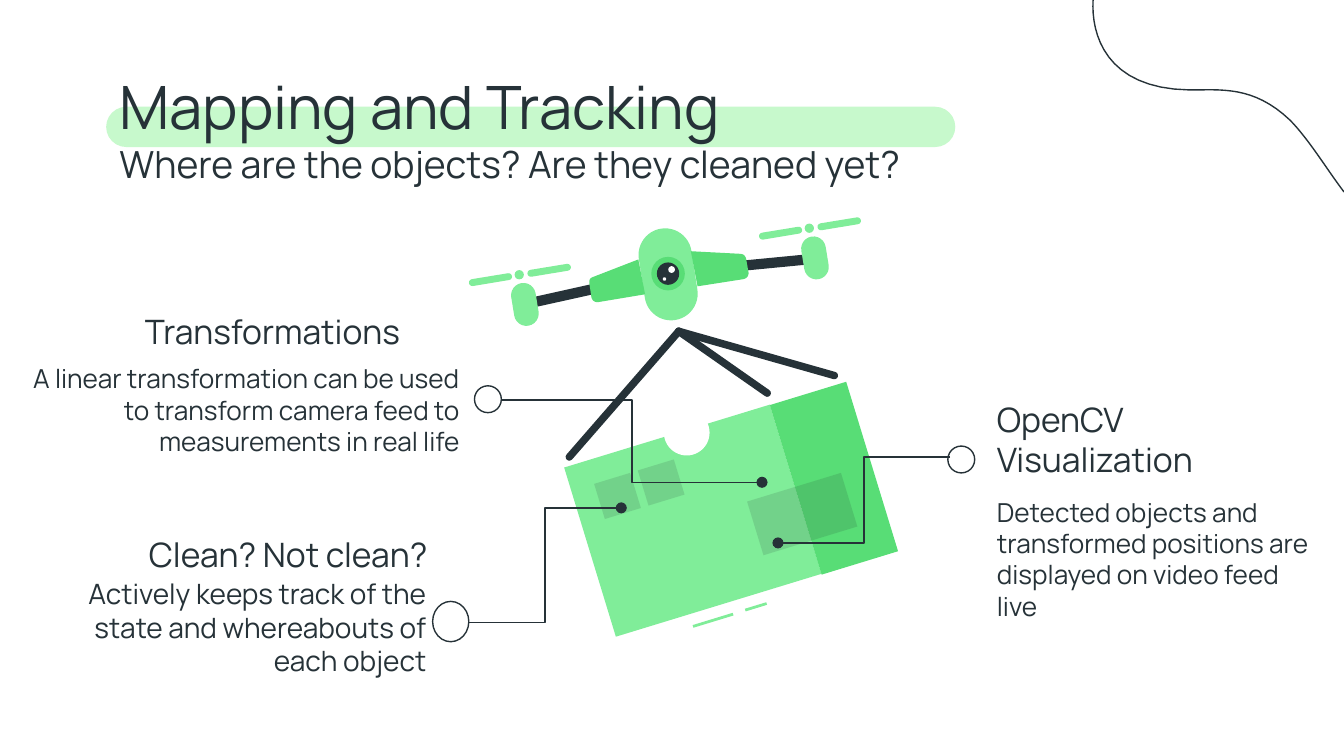
from math import atan2, degrees, hypot

from lxml.etree import SubElement
from pptx import Presentation
from pptx.dml.color import RGBColor
from pptx.enum.shapes import MSO_CONNECTOR, MSO_SHAPE
from pptx.enum.text import MSO_ANCHOR, PP_ALIGN
from pptx.oxml.ns import qn
from pptx.util import Pt

INK, WHITE = "263238", "FFFFFF"
LIGHT, GREEN, PALE, SHADE = "80ED99", "58DD76", "C7F9CC", "1A2327"
BOX_TILT = -17


def color(hex_value):
    return RGBColor.from_string(hex_value)


def curve(start, control1, control2, end, steps=16):
    """Points along a cubic curve, both ends included."""
    points = []
    for step in range(steps + 1):
        t = step / steps
        weights = ((1 - t) ** 3, 3 * t * (1 - t) ** 2, 3 * t * t * (1 - t), t ** 3)
        corners = (start, control1, control2, end)
        points.append(tuple(sum(w * c[axis] for w, c in zip(weights, corners))
                            for axis in (0, 1)))
    return points


class SlideArtist:
    font = "Manrope"
    line_width = 0.75
    frame_format = {"word_wrap": True, "vertical_anchor": MSO_ANCHOR.TOP,
                    "margin_left": Pt(7.2), "margin_right": Pt(7.2),
                    "margin_top": Pt(7.2), "margin_bottom": Pt(7.2)}

    def __init__(self, slide):
        self.slide = slide
        self.shapes = slide.shapes

    def paint(self, shape, fill=None, line=None, alpha=None):
        shape.shadow.inherit = False
        if fill:
            shape.fill.solid()
            shape.fill.fore_color.rgb = color(fill)
        else:
            shape.fill.background()
        if alpha:
            rgb = shape._element.spPr.find(".//" + qn("a:srgbClr"))
            SubElement(rgb, qn("a:alpha"), val=str(alpha * 1000))
        if line:
            shape.line.color.rgb = color(line)
            shape.line.width = Pt(self.line_width)
        else:
            shape.line.fill.background()
        return shape

    def preset(self, kind, center, width, height, fill, tilt=0, **style):
        x, y = center
        shape = self.shapes.add_shape(kind, Pt(x - width / 2), Pt(y - height / 2),
                                      Pt(width), Pt(height))
        shape.rotation = tilt
        return self.paint(shape, fill, **style)

    def disc(self, center, width, fill, height=None, **style):
        return self.preset(MSO_SHAPE.OVAL, center, width, height or width, fill, **style)

    def panel(self, center, width, height, fill, tilt=BOX_TILT, **style):
        return self.preset(MSO_SHAPE.RECTANGLE, center, width, height, fill, tilt, **style)

    def capsule(self, start, end, thickness, fill):
        """Round-ended bar whose end caps are centred on start and end."""
        dx, dy = end[0] - start[0], end[1] - start[1]
        center = (start[0] + dx / 2, start[1] + dy / 2)
        shape = self.preset(MSO_SHAPE.ROUNDED_RECTANGLE, center, hypot(dx, dy) + thickness,
                            thickness, fill, degrees(atan2(dy, dx)))
        shape.adjustments[0] = 0.5

    def outline(self, points, close=True, **style):
        scaled = [(Pt(x), Pt(y)) for x, y in points]
        builder = self.shapes.build_freeform(*scaled[0])
        builder.add_line_segments(scaled[1:], close=close)
        return self.paint(builder.convert_to_shape(), **style)

    def text(self, left, top, width, height, lines, align=PP_ALIGN.LEFT):
        """Text box from (wording, size) lines."""
        box = self.shapes.add_textbox(Pt(left), Pt(top), Pt(width), Pt(height))
        frame = box.text_frame
        for name, value in self.frame_format.items():
            setattr(frame, name, value)
        for index, (wording, size) in enumerate(lines):
            paragraph = frame.add_paragraph() if index else frame.paragraphs[0]
            paragraph.alignment = align
            run = paragraph.add_run()
            run.text = wording
            for name, value in {"name": self.font, "size": Pt(size)}.items():
                setattr(run.font, name, value)
            run.font.color.rgb = color(INK)

    def pointer(self, start, end):
        """Elbow line with a dot at its end."""
        link = self.shapes.add_connector(MSO_CONNECTOR.ELBOW, *map(Pt, start + end))
        link.line.color.rgb = color(INK)
        link.line.width = Pt(self.line_width)
        SubElement(link.line._get_or_add_ln(), qn("a:tailEnd"), type="oval")
        SubElement(link._element.spPr, qn("a:effectLst"))


def draw_parcel(artist):
    artist.panel((382, 332.3), 22.5, 1.5, LIGHT)
    artist.panel((405, 325.1), 12, 1.5, LIGHT)
    artist.panel((371.2, 279), 115.2, 94.8, LIGHT)
    artist.panel((446.8, 256.2), 42.8, 95, GREEN)
    artist.panel((429.8, 275.4), 52.6, 30.1, SHADE, alpha=13)
    for stamp in ((330.8, 265.7), (354.2, 258.5)):
        artist.panel(stamp, 20.2, 19.7, SHADE, alpha=13)


def draw_drone(artist):
    artist.capsule((356.3, 136.6), (359.5, 157.4), 28.5, LIGHT)
    eye = (357.9, 146.6)
    artist.disc(eye, 18, GREEN)
    artist.disc(eye, 12, INK)
    artist.disc((359.8, 144.4), 3.6, WHITE)
    artist.disc((356, 149.5), 1.8, WHITE)

    artist.panel((300.2, 158.8), 39, 5.5, INK, -12.5)
    artist.panel((416.5, 140.6), 39, 5.5, INK, -5.5)
    for dx, dy in ((0, 0), (155.4, -24.9)):
        def moved(x, y):
            return x + dx, y + dy
        artist.capsule(moved(280.4, 158.2), moved(282, 168), 13.2, LIGHT)
        artist.disc(moved(278.2, 147.2), 5, LIGHT)
        for inner, outer in (((253.1, 151.4), (272.5, 148.2)),
                             ((284.4, 146.4), (304, 143.2))):
            artist.capsule(moved(*inner), moved(*outer), 3.7, LIGHT)

    artist.outline([(342, 139)]
                   + curve((317.5, 148.5), (316, 149), (315.5, 150.5), (315.8, 152))
                   + curve((316.8, 159), (317.2, 161), (318.5, 162), (320.5, 161.9))
                   + [(345.6, 157.7)], fill=GREEN)
    artist.outline([(370.1, 134.6), (373.7, 153.4)]
                   + curve((398.2, 149.6), (400, 149.2), (401.2, 147.8), (401, 146))
                   + curve((399.8, 139), (399.4, 137), (398.3, 136.2), (396.7, 136)),
                   fill=GREEN)

    for hook in ((447, 201.2), (411, 210.6), (305, 244.8)):
        artist.capsule((363.6, 177.5), hook, 4, INK)


def main():
    deck = Presentation()
    deck.slide_width, deck.slide_height = Pt(720), Pt(405)
    artist = SlideArtist(deck.slides.add_slide(deck.slide_layouts[6]))

    artist.capsule((67.7, 68), (501, 68), 21.6, PALE)
    artist.outline(curve((585.6, 0), (584.5, 18), (592, 47.5), (637, 48.2))
                   + curve((637, 48.2), (654, 48.4), (671, 45.5), (691, 64.3))
                   + curve((691, 64.3), (701, 74.5), (710, 89.5), (720, 102.9)),
                   close=False, line=INK)
    draw_parcel(artist)
    draw_drone(artist)

    artist.text(56.9, 30.2, 607, 48.2,
                [("Mapping and Tracking", 32),
                 ("Where are the objects? Are they cleaned yet?", 20)])
    artist.text(527, 258.5, 188, 48.2,
                [("Detected objects and transformed positions are displayed on "
                  "video feed live", 14)])
    artist.text(527, 206.6, 188, 29.5, [("OpenCV Visualization", 18)])
    artist.text(11.5, 278.6, 224.6, 29.5, [("Clean? Not clean?", 18)], PP_ALIGN.RIGHT)
    artist.text(20.9, 301.7, 214.6, 48.2,
                [("Actively keeps track of the state and whereabouts of each object", 15)],
                PP_ALIGN.RIGHT)
    artist.text(7.2, 187.2, 246.2, 48.2,
                [("A linear transformation can be used to transform camera feed to "
                  "measurements in real life", 14)], PP_ALIGN.RIGHT)
    artist.text(70.6, 159.1, 182.9, 29.5, [("Transformations", 18)])

    artist.disc((241.5, 333), 19.4, WHITE, height=21.6, line=INK)
    for marker in ((515, 246.2), (261.4, 213.9)):
        artist.disc(marker, 14.4, WHITE, line=INK)
    artist.disc((367.9, 231.8), 24.5, WHITE)

    artist.pointer((251.2, 333.4), (332.8, 272.1))
    artist.pointer((269, 214.4), (408.2, 258.4))
    artist.pointer((509, 244.8), (416.8, 290.9))
    deck.save("out.pptx")


if __name__ == "__main__":
    main()
